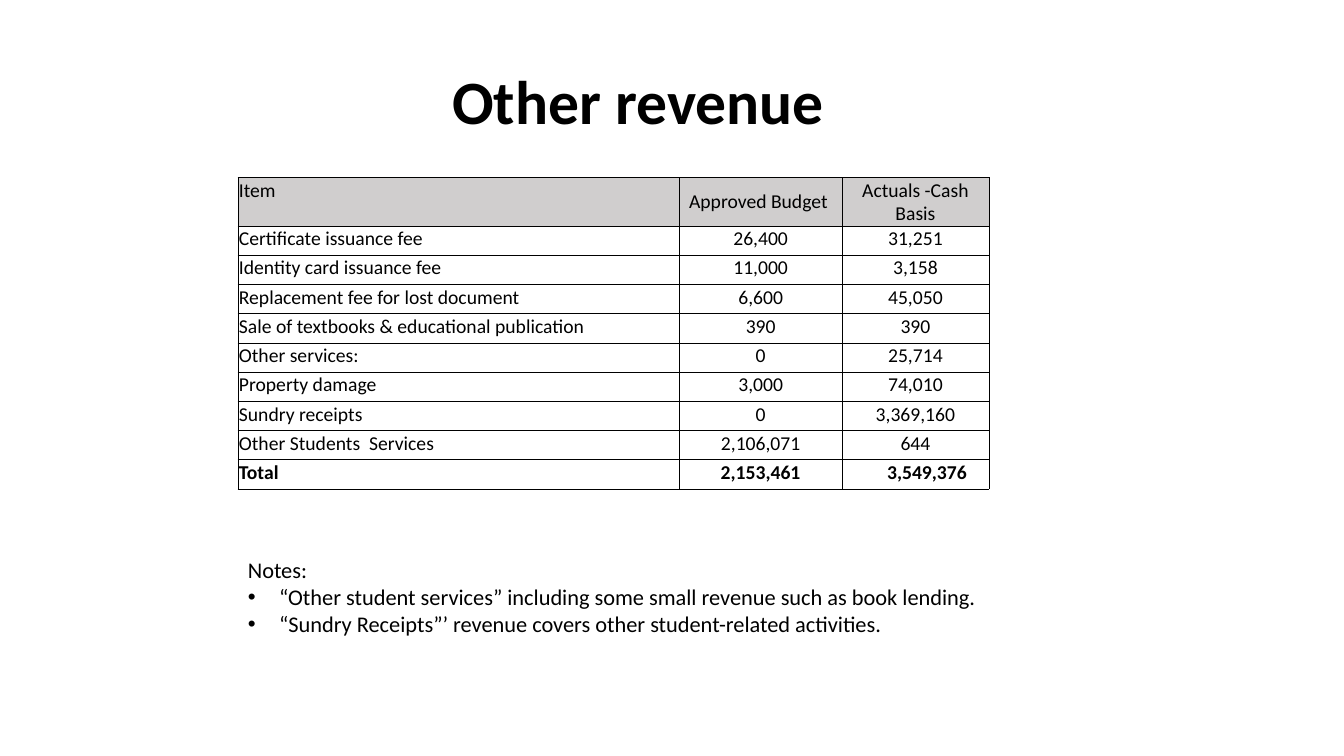
"""Build the slide on other revenue: budget table and notes."""
from dataclasses import dataclass

from lxml import etree
from pptx import Presentation
from pptx.dml.color import RGBColor
from pptx.enum.text import MSO_ANCHOR, PP_ALIGN
from pptx.oxml.ns import qn
from pptx.util import Inches, Pt

LEFT, CENTER = PP_ALIGN.LEFT, PP_ALIGN.CENTER
TOP, MIDDLE = MSO_ANCHOR.TOP, MSO_ANCHOR.MIDDLE
COLORS = {"text": "000000", "border": "000000", "header": "D0CECE"}
FONT = "Calibri"
COL_WIDTHS = (4.38, 1.61, 1.46)
HEADER_HEIGHT, ROW_HEIGHT = 0.47, 0.29
TABLE_LEFT, TABLE_TOP = 2.36, 1.76


@dataclass(frozen=True)
class RevenueRow:
    item: str
    budget: str
    actual: str
    header: bool = False
    total: bool = False


ROWS = (
    RevenueRow("Item", "Approved Budget ", "Actuals -Cash Basis", header=True),
    RevenueRow("Certificate issuance fee", "26,400", "31,251"),
    RevenueRow("Identity card issuance fee", "11,000", "3,158"),
    RevenueRow("Replacement fee for lost document", "6,600", "45,050"),
    RevenueRow("Sale of textbooks & educational publication", "390", "390"),
    RevenueRow("Other services:", "0", "25,714"),
    RevenueRow("Property damage", "3,000", "74,010"),
    RevenueRow("Sundry receipts", "0", "3,369,160"),
    RevenueRow("Other Students  Services", "2,106,071", "644"),
    RevenueRow("Total", "2,153,461", "3,549,376", total=True),
)
NOTES = (
    "“Other student services” including some small revenue such as book lending.",
    "“Sundry Receipts”’ revenue covers other student-related activities.",
)


def set_font(p, size: float, bold: bool = False) -> None:
    p.font.name, p.font.size, p.font.bold = FONT, Pt(size), bold
    p.font.color.rgb = RGBColor.from_string(COLORS["text"])


def add_borders(cell) -> None:
    tc_pr = cell._tc.get_or_add_tcPr()
    for i, side in enumerate(("lnL", "lnR", "lnT", "lnB")):
        ln = etree.Element(qn(f"a:{side}"), w=str(Pt(0.5)))
        fill = etree.SubElement(ln, qn("a:solidFill"))
        etree.SubElement(fill, qn("a:srgbClr"), val=COLORS["border"])
        tc_pr.insert(i, ln)


def fill_cell(cell, text: str, row: RevenueRow, column: int) -> None:
    cell.margin_left = cell.margin_right = cell.margin_top = Inches(0.01)
    cell.margin_bottom = 0
    if row.total and column == 2:
        cell.margin_left = Inches(0.24)
    cell.vertical_anchor = MIDDLE if row.header and column else TOP
    if row.header:
        cell.fill.solid()
        cell.fill.fore_color.rgb = RGBColor.from_string(COLORS["header"])
    else:
        cell.fill.background()
    add_borders(cell)
    p = cell.text_frame.paragraphs[0]
    p.text = text
    p.alignment = CENTER if column else LEFT
    set_font(p, 14, row.total)


def add_title(s) -> None:
    sp = s.shapes.title
    sp.left, sp.top, sp.width, sp.height = map(Inches, (0.65, 0.31, 11.5, 1.45))
    tf = sp.text_frame
    tf.vertical_anchor = MIDDLE
    p = tf.paragraphs[0]
    p.text = "Other revenue "
    p.alignment, p.line_spacing = CENTER, 0.9
    set_font(p, 44, True)


def add_revenue_table(s) -> None:
    height = HEADER_HEIGHT + ROW_HEIGHT * (len(ROWS) - 1)
    box = map(Inches, (TABLE_LEFT, TABLE_TOP, sum(COL_WIDTHS), height))
    table = s.shapes.add_table(len(ROWS), len(COL_WIDTHS), *box).table
    table.horz_banding = False
    for column, width in zip(table.columns, COL_WIDTHS):
        column.width = Inches(width)
    for r, row in enumerate(ROWS):
        table.rows[r].height = Inches(HEADER_HEIGHT if row.header else ROW_HEIGHT)
        for c, text in enumerate((row.item, row.budget, row.actual)):
            fill_cell(table.cell(r, c), text, row, c)


def add_notes(s) -> None:
    box = map(Inches, (TABLE_LEFT, 5.47, sum(COL_WIDTHS), 0.94))
    tf = s.shapes.add_textbox(*box).text_frame
    tf.word_wrap = True
    p = tf.paragraphs[0]
    p.text = "Notes:"
    set_font(p, 16)
    for note in NOTES:
        p = tf.add_paragraph()
        p.text = note
        p_pr = p._p.get_or_add_pPr()
        p_pr.set("marL", str(Inches(0.31)))
        p_pr.set("indent", str(Inches(-0.31)))
        etree.SubElement(p_pr, qn("a:buFont"), typeface="Arial")
        etree.SubElement(p_pr, qn("a:buChar"), char="•")
        set_font(p, 16)


def main() -> None:
    prs = Presentation()
    prs.slide_width, prs.slide_height = Inches(13.33), Inches(7.5)
    s = prs.slides.add_slide(prs.slide_layouts[5])
    add_title(s)
    add_revenue_table(s)
    add_notes(s)
    prs.save("out.pptx")


if __name__ == "__main__":
    main()
